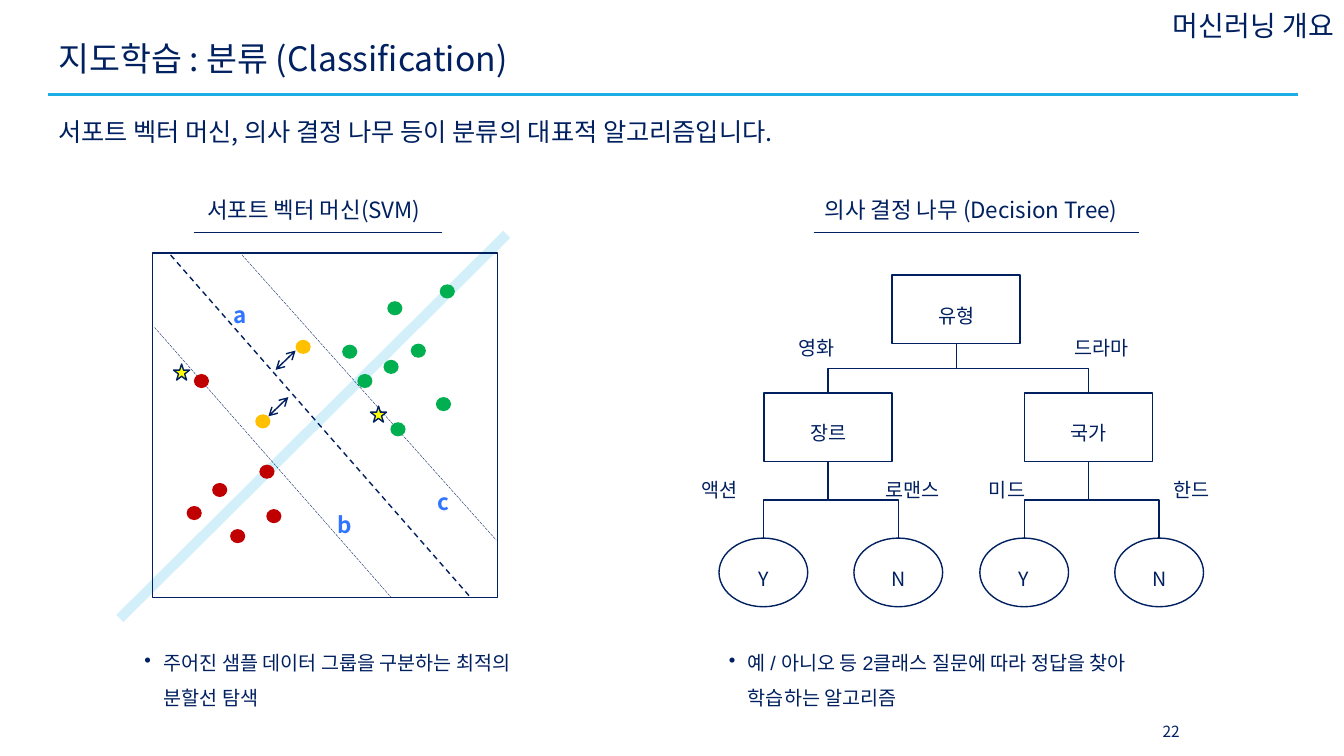
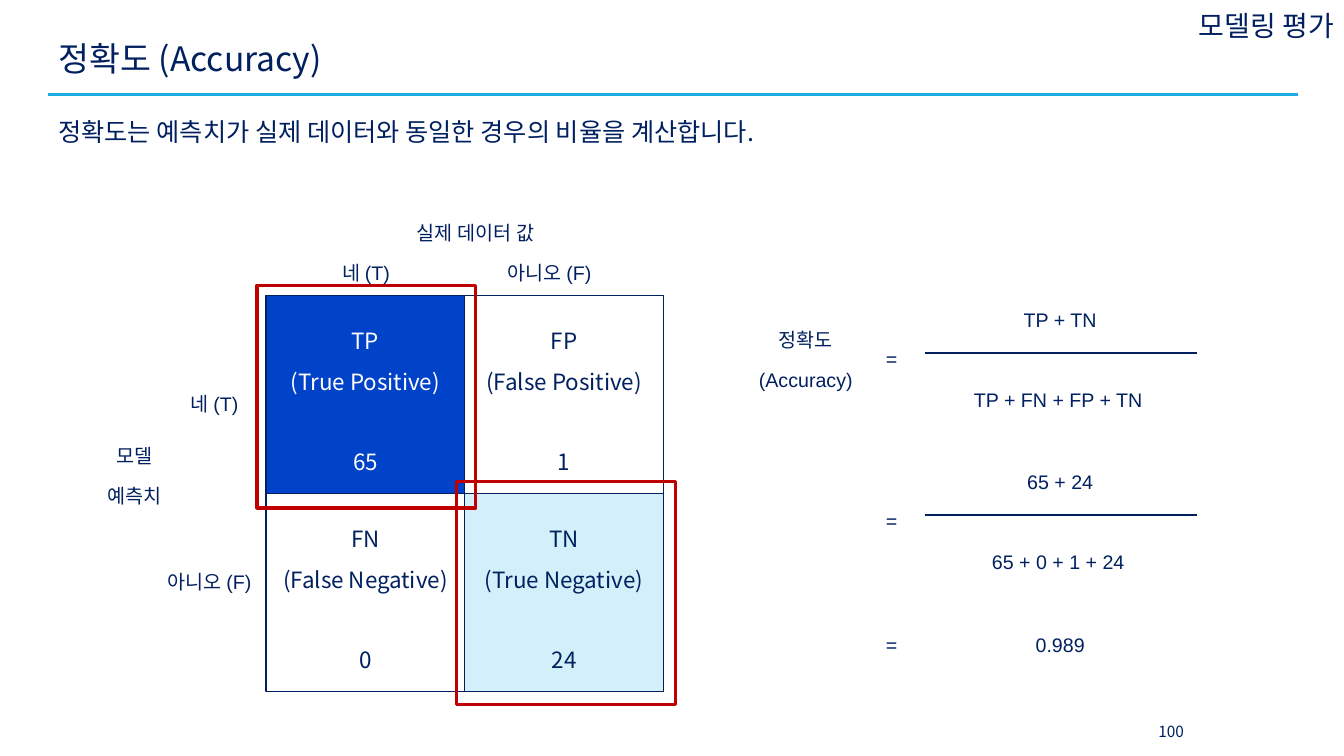
from dataclasses import dataclass

from lxml.etree import SubElement
from pptx import Presentation
from pptx.dml.color import RGBColor
from pptx.enum.dml import MSO_LINE
from pptx.enum.shapes import MSO_CONNECTOR, MSO_SHAPE
from pptx.enum.text import MSO_ANCHOR, PP_ALIGN
from pptx.oxml.ns import qn
from pptx.util import Inches, Pt

COLORS = {
    "navy": "002060", "rule": "1CADE4", "pale": "D2EFFA", "blue": "0042C8",
    "letter": "3075FF", "red": "C00000", "green": "00B050", "amber": "FFC000",
    "yellow": "FFFF00", "white": "FFFFFF",
}
SANS, ARIAL = "Noto Sans CJK KR", "Arial"
LEFT, CENTER, RIGHT = PP_ALIGN.LEFT, PP_ALIGN.CENTER, PP_ALIGN.RIGHT
TOP, MIDDLE = MSO_ANCHOR.TOP, MSO_ANCHOR.MIDDLE


@dataclass
class Box:
    """A region in inches, whose inner areas are given in percent of its size."""
    left: float
    top: float
    width: float
    height: float

    def point(self, x, y):
        return self.left + self.width * x / 100, self.top + self.height * y / 100

    def area(self, x, y, width, height):
        return Box(*self.point(x, y), self.width * width / 100, self.height * height / 100)

    def emu(self):
        return [Inches(n) for n in (self.left, self.top, self.width, self.height)]


PAGE = Box(0, 0, 13.33, 7.5)


def rgb(name):
    return RGBColor.from_string(COLORS[name])


def write(shape, lines, size=14, font=SANS, color="navy", bold=False, align=LEFT,
          anchor=TOP, spacing=1.5, gaps=(), inset=0.05, wrap=True):
    """Fill a shape with paragraphs; gaps are the points before the second and later ones."""
    frame = shape.text_frame
    frame.word_wrap = wrap
    frame.vertical_anchor = anchor
    frame.margin_left = frame.margin_right = Inches(0.1)
    frame.margin_top, frame.margin_bottom = Inches(inset), Inches(0.05)
    for index, line in enumerate(lines):
        paragraph = frame.add_paragraph() if index else frame.paragraphs[0]
        paragraph.alignment = align
        paragraph.line_spacing = spacing
        if index and gaps:
            paragraph.space_before = Pt(gaps[index - 1])
        run = paragraph.add_run()
        run.text = line
        run.font.size, run.font.name, run.font.bold = Pt(size), font, bold
        run.font.color.rgb = rgb(color)
    for properties in shape.element.iter(qn("a:rPr")):
        SubElement(properties, qn("a:ea")).set("typeface", SANS)


def add_text(slide, box, *lines, **style):
    text = slide.shapes.add_textbox(*box.emu())
    write(text, lines, **style)
    return text


def add_label(slide, box, *lines, **style):
    return add_text(slide, box, *lines, **{"inset": 0.12, **style})


def add_figure(slide, kind, box, fill=None, outline=None, weight=1):
    figure = slide.shapes.add_shape(kind, *box.emu())
    figure.shadow.inherit = False
    if fill:
        figure.fill.solid()
        figure.fill.fore_color.rgb = rgb(fill)
    else:
        figure.fill.background()
    if outline:
        figure.line.color.rgb = rgb(outline)
        figure.line.width = Pt(weight)
    else:
        figure.line.fill.background()
    return figure


def add_line(slide, start, end, color="navy", weight=1, dash=None, arrows=False,
             kind=MSO_CONNECTOR.STRAIGHT):
    line = slide.shapes.add_connector(kind, *[Inches(n) for n in (*start, *end)])
    line.line.color.rgb = rgb(color)
    line.line.width = Pt(weight)
    if dash:
        line.line.dash_style = dash
    properties = line.element.spPr
    if arrows:
        for tip in ("a:headEnd", "a:tailEnd"):
            SubElement(properties.find(qn("a:ln")), qn(tip)).set("type", "arrow")
    SubElement(properties, qn("a:effectLst"))
    return line


def add_branch(slide, start, end):
    """Draw an elbow that leaves downwards: a sideways elbow, turned a quarter."""
    (x1, y1), (x2, y2) = start, end
    middle_x, middle_y = (x1 + x2) / 2, (y1 + y2) / 2
    half_drop, half_span = (y2 - y1) / 2, abs(x2 - x1) / 2
    to_right = x2 > x1
    side = half_drop if to_right else -half_drop
    elbow = add_line(slide, (middle_x + side, middle_y - half_span),
                     (middle_x - side, middle_y + half_span), kind=MSO_CONNECTOR.ELBOW)
    turn = 270 if to_right else 90
    elbow.element.spPr.find(qn("a:xfrm")).set("rot", str(turn * 60000))


def add_page(deck, topic, title, lead, number):
    """Add a slide with the title, rule, lead sentence, topic and number all slides share."""
    slide = deck.slides.add_slide(deck.slide_layouts[5])
    heading = slide.shapes.title
    heading.left, heading.top, heading.width, heading.height = PAGE.area(3.6, 3.87, 93, 8.4).emu()
    write(heading, [title], size=24, anchor=MIDDLE, spacing=0.9)
    add_line(slide, PAGE.point(3.6, 12.53), PAGE.point(96.6, 12.53), "rule", 2.25)
    add_text(slide, PAGE.area(3.6, 13.6, 93, 16.8), lead, size=18, spacing=1.3)
    add_text(slide, PAGE.area(69.47, 0.53, 30.53, 5.73), topic, size=20,
             align=RIGHT, anchor=MIDDLE, spacing=1)
    add_text(slide, PAGE.area(84.77, 94.13, 4.73, 5.33), number, size=11,
             align=CENTER, anchor=MIDDLE, spacing=1)
    return slide


def add_panel_text(slide, box, heading, rule, note, note_span):
    """Place an underlined heading and a bulleted note; spans are start and width."""
    start, width = rule
    add_text(slide, box.area(start - 1, 0, width, 8.27), heading, size=16,
             align=CENTER, anchor=MIDDLE, spacing=1, wrap=False)
    add_line(slide, box.point(start, 8.65), box.point(start + width, 8.65))
    x, note_width = note_span
    bullet = add_label(slide, box.area(x, 83.85, note_width, 16), note, font=ARIAL)
    for properties in bullet.element.iter(qn("a:pPr")):
        properties.set("marL", str(Inches(0.19)))
        properties.set("indent", str(-Inches(0.19)))
        SubElement(properties, qn("a:buChar")).set("char", "•")


def add_svm_plot(slide, plot):
    band = add_figure(slide, MSO_SHAPE.RECTANGLE, plot.area(-32.46, 48.83, 158.19, 2.92), "pale")
    band.rotation = 315.2
    for start, end, weight, dash in (
        ((0.6, 21.6), (69.3, 100), 0.25, MSO_LINE.LONG_DASH),
        ((26, 0.6), (99.7, 83.3), 0.25, MSO_LINE.LONG_DASH),
        ((91.8, 99.4), (5, 0.3), 1, MSO_LINE.DASH),
    ):
        add_line(slide, plot.point(*start), plot.point(*end), weight=weight, dash=dash)
    add_figure(slide, MSO_SHAPE.RECTANGLE, plot, outline="navy")

    samples = {
        "red": [(9.9, 73.4), (33, 74.3), (17.3, 66.7), (22.5, 80.1), (31, 61.4), (12, 35.1)],
        "green": [(82.2, 41.8), (68.1, 14), (59.4, 35.1), (55, 26.6), (74.9, 26.3),
                  (83.3, 9.1), (67, 31), (69, 49.1)],
        "amber": [(29.8, 46.8), (41.5, 25.2)],
    }
    for color, spots in samples.items():
        for spot in spots:
            add_figure(slide, MSO_SHAPE.OVAL, plot.area(*spot, 4.4, 4.1), color)
    for spot in ((6.1, 32.2), (63.2, 44.4)):
        add_figure(slide, MSO_SHAPE.STAR_5_POINT, plot.area(*spot, 4.7, 4.7), "yellow", "navy")
    for letter, x, y in (("a", 20.5, 6.7), ("b", 50.9, 67.5), ("c", 79.8, 60.8)):
        add_label(slide, plot.area(x, y, 12, 15.2), letter, size=16, color="letter", bold=True)
    for x, y in ((33.6, 47.4), (35.7, 33.9)):
        add_line(slide, plot.point(x, y), plot.point(x + 5.8, y - 5.6), arrows=True)


def add_decision_tree(slide, box):
    level_tops, node_height = (16.7, 39.2, 66.9), 13.1
    question, answer = (MSO_SHAPE.RECTANGLE, 24.1), (MSO_SHAPE.OVAL, 16.7)
    nodes = (  # text, form, centre, level, centre of the parent
        ("유형", question, 49.8, 0, None),
        ("장르", question, 25.7, 1, 49.8),
        ("국가", question, 74.7, 1, 49.8),
        ("Y", answer, 13.5, 2, 25.7),
        ("N", answer, 38.9, 2, 25.7),
        ("Y", answer, 62.6, 2, 74.7),
        ("N", answer, 88, 2, 74.7),
    )
    for text, (kind, width), centre, level, parent in nodes:
        top = level_tops[level]
        node = add_figure(slide, kind, box.area(centre - width / 2, top, width, node_height),
                          outline="navy")
        write(node, [text], align=CENTER, anchor=MIDDLE)
        if parent is not None:
            parent_foot = level_tops[level - 1] + node_height
            add_branch(slide, box.point(parent, parent_foot), box.point(centre, top))
    for choice, x, y in (("영화", 18.2, 23.8), ("드라마", 70.2, 23.8), ("액션", 0, 50.8),
                         ("로맨스", 34.7, 50.8), ("미드", 54.1, 50.8), ("한드", 88.8, 50.8)):
        width = 3.8 + 3.7 * len(choice)
        add_label(slide, box.area(x, y, width, 9.2), choice, wrap=False)


def add_confusion_matrix(slide, box):
    cells = (
        ("TP", "(True Positive)", "65", "blue", "white"),
        ("FP", "(False Positive)", "1", "white", "navy"),
        ("FN", "(False Negative)", "0", "white", "navy"),
        ("TN", "(True Negative)", "24", "pale", "navy"),
    )
    for index, (short, name, count, fill, color) in enumerate(cells):
        row, column = divmod(index, 2)
        cell = add_figure(slide, MSO_SHAPE.RECTANGLE, box.area(50 * column, 50 * row, 50, 50),
                          fill, "navy")
        write(cell, [short, name, count], size=16, color=color, align=CENTER,
              anchor=MIDDLE, gaps=(0, 28.5))
    for corner in ((-2.3, -2.5), (48, 47.1)):
        add_figure(slide, MSO_SHAPE.RECTANGLE, box.area(*corner, 55.1, 56.2),
                   outline="red", weight=2.25)
    for lines, x, y, width in (
        (["실제 데이터 값"], 29.9, -24.9, 45.7),
        (["네 (T)"], 8.4, -14.8, 33.5),
        (["아니오 (F)"], 54.6, -14.8, 33.5),
        (["모델", "예측치"], -43.9, 31.6, 21.6),
        (["네 (T)"], -29.7, 18.3, 33.5),
        (["아니오 (F)"], -31, 63.4, 33.5),
    ):
        add_label(slide, box.area(x, y, width, 12.2 * len(lines)), *lines,
                  font=ARIAL, align=CENTER, gaps=(3,))


def add_accuracy_formula(slide, box):
    def term(x, y, width, *lines):
        add_label(slide, box.area(x, y, width, 13 * len(lines)), *lines,
                  font=ARIAL, align=CENTER, gaps=(3,))

    term(0, 5.4, 28, "정확도", "(Accuracy)")
    for top, numerator, denominator in ((0, "TP + TN", "TP + FN + FP + TN"),
                                        (43.5, "65 + 24", "65 + 0 + 1 + 24")):
        term(18, top + 10.3, 28, "=")
        term(34.5, top, 65.9, numerator)
        term(34.1, top + 21.4, 65.9, denominator)
        add_line(slide, box.point(39, top + 18.4), box.point(96.2, top + 18.4))
    term(18, 87, 28, "=")
    term(34.5, 87, 65.9, "0.989")


def add_classification_slide(deck):
    slide = add_page(deck, "머신러닝 개요", "지도학습 : 분류 (Classification)",
                     "서포트 벡터 머신, 의사 결정 나무 등이 분류의 대표적 알고리즘입니다.", "22")
    svm = PAGE.area(10, 24.8, 30.38, 69.33)
    add_svm_plot(slide, svm.area(4.44, 12.5, 84.44, 65.77))
    add_panel_text(slide, svm, "서포트 벡터 머신(SVM)", (14.57, 60.74),
                   "주어진 샘플 데이터 그룹을 구분하는 최적의 분할선 탐색", (0, 100))
    tree = PAGE.area(51.46, 24.8, 39.53, 69.33)
    add_decision_tree(slide, tree)
    add_panel_text(slide, tree, "의사 결정 나무 (Decision Tree)", (22.96, 61.29),
                   "예 / 아니오 등 2클래스 질문에 따라 정답을 찾아 학습하는 알고리즘", (5.12, 91.46))


def add_accuracy_slide(deck):
    slide = add_page(deck, "모델링 평가", "정확도 (Accuracy)",
                     "정확도는 예측치가 실제 데이터와 동일한 경우의 비율을 계산합니다.", "100")
    add_confusion_matrix(slide, PAGE.area(19.8, 39.07, 29.56, 52.4))
    add_accuracy_formula(slide, PAGE.area(55, 37.6, 35.41, 49.33))


def main():
    deck = Presentation()
    deck.slide_width, deck.slide_height = Inches(PAGE.width), Inches(PAGE.height)
    add_classification_slide(deck)
    add_accuracy_slide(deck)
    deck.save("out.pptx")


if __name__ == "__main__":
    main()
